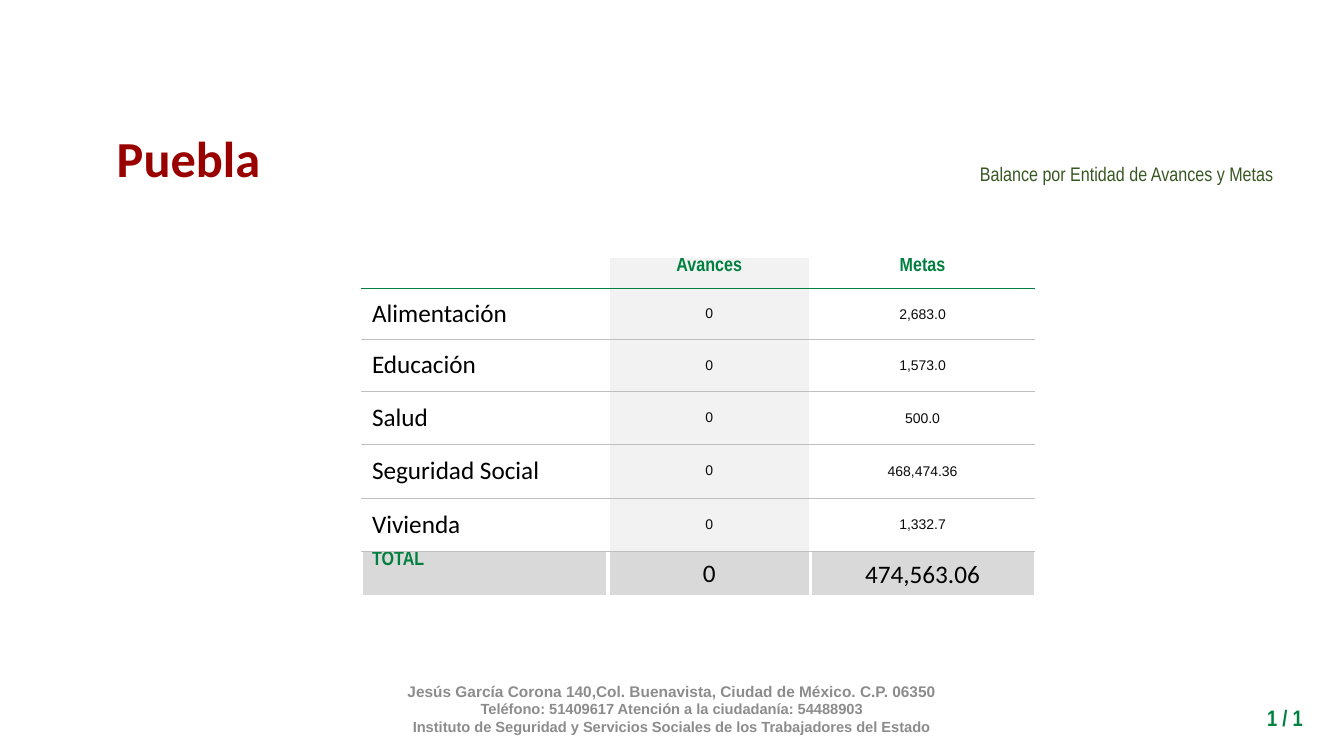
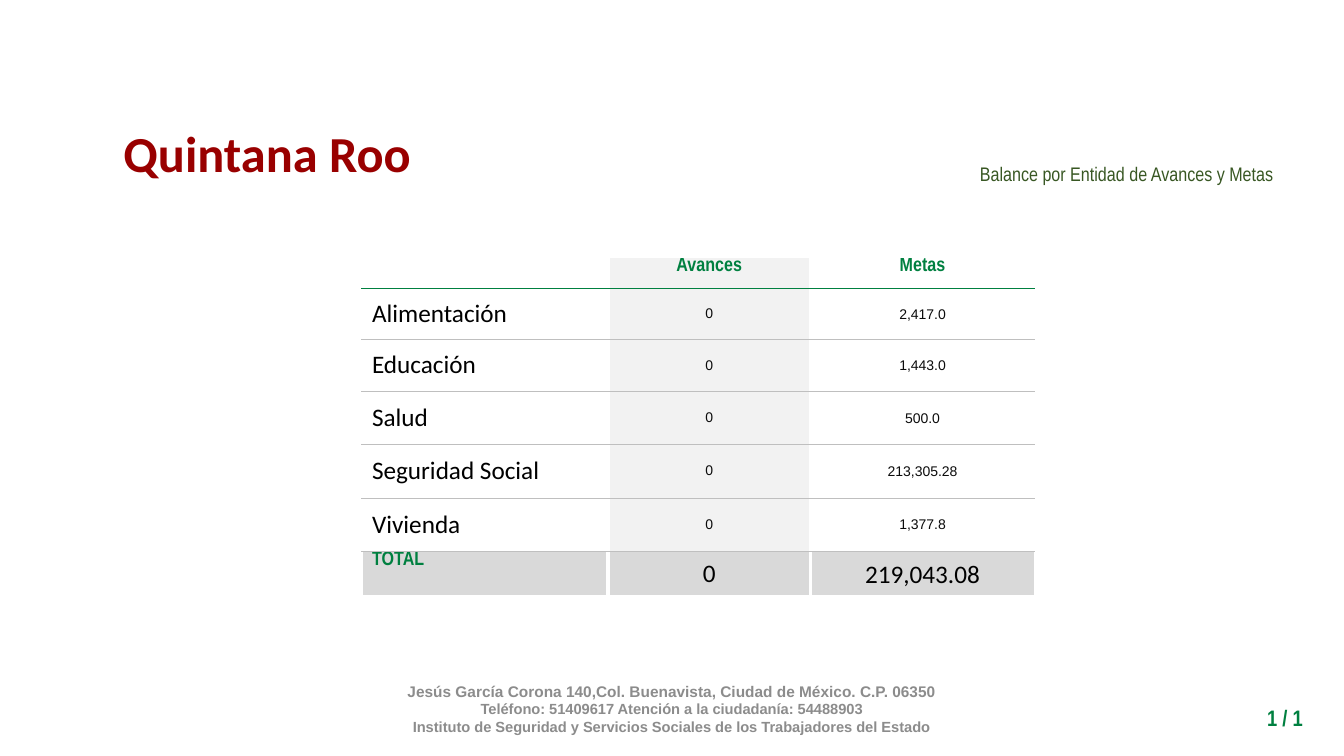
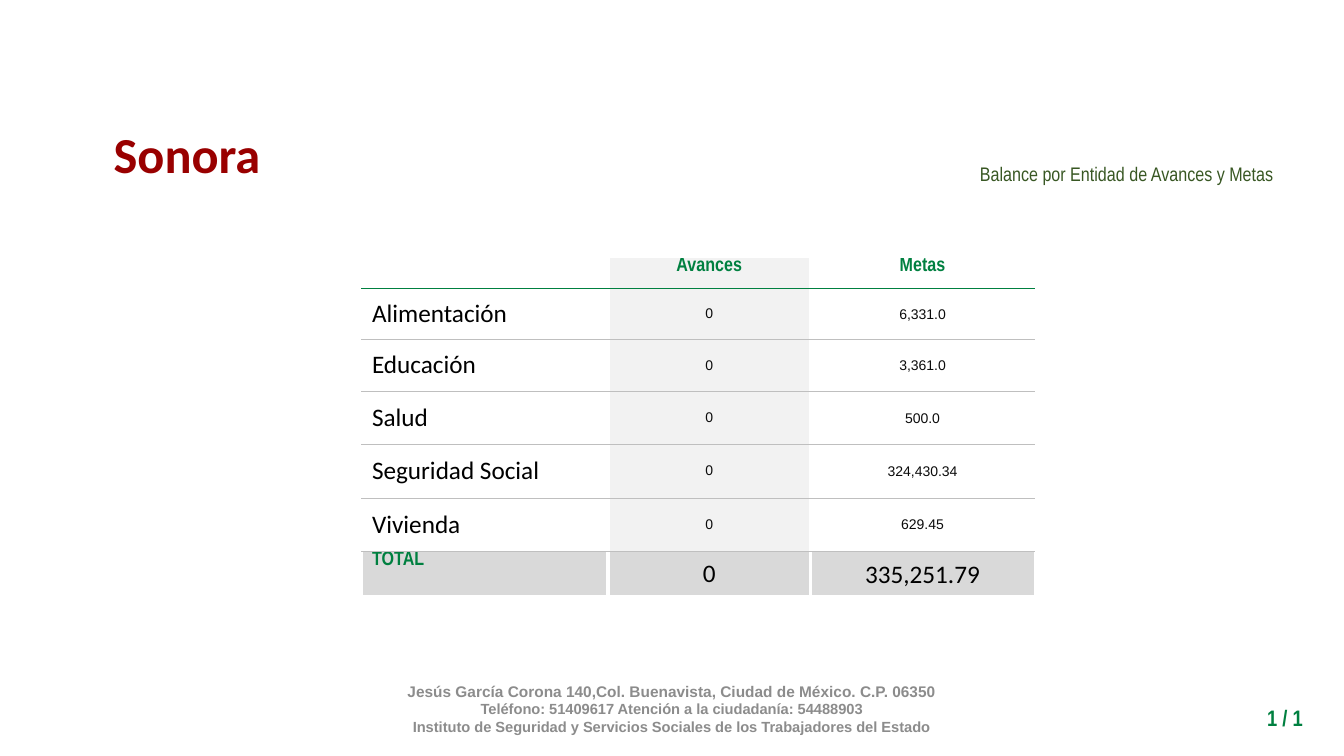
"""Builds three state slides that compare progress with goals."""
import pptx
import pptx.dml.color
import pptx.enum.text
import pptx.oxml
import pptx.oxml.ns
import pptx.util

PX = 9144
COLORS = {
    "title": "990000", "green": "008040", "subtitle": "385723",
    "footer": "8C8C8C", "value": "0B0B0B", "label": "000000",
    "column": "F2F2F2", "total": "D9D9D9", "rule": "BFBFBF", "white": "FFFFFF",
}
ALIGN = pptx.enum.text.PP_ALIGN
ANCHOR = pptx.enum.text.MSO_ANCHOR
FIT = pptx.enum.text.MSO_AUTO_SIZE

FOOTER = [
    ("Jesús García Corona 140,Col. Buenavista, Ciudad de México. C.P. 06350", 11),
    ("Teléfono: 51409617 Atención a la ciudadanía: 54488903", 10.5),
    ("Instituto de Seguridad y Servicios Sociales de los Trabajadores del Estado", 10.5),
]
SUBTITLE = "Balance por Entidad de Avances y Metas"
PAGE = "1 / 1"
HEADINGS = ["", "Avances", "Metas"]
TOPICS = ["Alimentación", "Educación", "Salud", "Seguridad Social", "Vivienda", "TOTAL"]
STATES = [
    ("Puebla", (105, 121, 164, 71),
     ["2,683.0", "1,573.0", "500.0", "468,474.36", "1,332.7", "474,563.06"]),
    ("Quintana Roo", (111, 116, 308, 71),
     ["2,417.0", "1,443.0", "500.0", "213,305.28", "1,377.8", "219,043.08"]),
    ("Sonora", (102, 117, 167, 71),
     ["6,331.0", "3,361.0", "500.0", "324,430.34", "629.45", "335,251.79"]),
]
COLUMNS = [244, 201, 222]
ROWS = [31, 51, 51, 53, 53, 53, 45]
TABLE_AT = (359, 255)

HEADING = (14, "Arial Narrow", "green", True)
LABEL = (18, "Calibri", "label", False)
VALUE = (10, "Arial", "value", False)


def emu(lengths):
    return [length * PX for length in lengths]


def rgb(name):
    return pptx.dml.color.RGBColor.from_string(COLORS[name])


def write(paragraph, text, style, align):
    size, face, color, bold = style
    paragraph.alignment = align
    run = paragraph.add_run()
    run.text = text
    run.font.size = pptx.util.Pt(size)
    run.font.name = face
    run.font.bold = bold
    run.font.color.rgb = rgb(color)
    return run


def line_xml(tag, color, points):
    return pptx.oxml.parse_xml(
        f'<a:{tag} {pptx.oxml.ns.nsdecls("a")} w="{int(points * 12700)}">'
        f'<a:solidFill><a:srgbClr val="{COLORS[color]}"/></a:solidFill></a:{tag}>')


def add_text(slide, at, lines, align, anchor):
    frame = slide.shapes.add_textbox(*emu(at)).text_frame
    frame.word_wrap = True
    frame.vertical_anchor = anchor
    for index, (text, style) in enumerate(lines):
        paragraph = frame.add_paragraph() if index else frame.paragraphs[0]
        write(paragraph, text, style, align)
    return frame


def add_title(slide, state, at):
    title = slide.shapes.title
    title.left, title.top, title.width, title.height = emu(at)
    frame = title.text_frame
    frame.word_wrap = False
    frame.auto_size = FIT.SHAPE_TO_FIT_TEXT
    frame.vertical_anchor = ANCHOR.TOP
    run = write(frame.paragraphs[0], state, (36, "Calibri", "title", True), ALIGN.CENTER)
    run.font._element.insert(0, line_xml("ln", "white", 0.75))


def rule_below(row):
    if row == 0:
        return "green", 0.25
    return ("white", 3) if row == len(ROWS) - 1 else ("rule", 0.5)


def add_borders(cell, row, column):
    properties = cell._tc.get_or_add_tcPr()
    borders = []
    if column > 0:
        borders.append(("lnL", "white", 3))
    if column < len(COLUMNS) - 1:
        borders.append(("lnR", "white", 3))
    if row > 0:
        borders.append(("lnT", *rule_below(row - 1)))
    borders.append(("lnB", *rule_below(row)))
    for border in borders:
        properties.append(line_xml(*border))


def format_cell(cell, text, row, column):
    is_total = row == len(ROWS) - 1
    is_heading = row == 0 or (is_total and column == 0)
    cell.vertical_anchor = ANCHOR.TOP if is_heading else ANCHOR.MIDDLE
    if is_heading:
        cell.margin_top = cell.margin_bottom = 0
    elif column == 2:
        cell.margin_left = cell.margin_right = cell.margin_top = PX
        cell.margin_bottom = 0
    if text:
        style = HEADING if is_heading else LABEL if is_total or column == 0 else VALUE
        write(cell.text_frame.paragraphs[0], text, style,
              ALIGN.CENTER if column else ALIGN.LEFT)
    add_borders(cell, row, column)
    if is_total or column == 1:
        cell.fill.solid()
        cell.fill.fore_color.rgb = rgb("total" if is_total else "column")
    else:
        cell.fill.background()


def add_balance(slide, goals):
    size = emu((sum(COLUMNS), sum(ROWS)))
    balance = slide.shapes.add_table(len(ROWS), len(COLUMNS), *emu(TABLE_AT), *size).table
    balance.first_row = balance.horz_banding = False
    for column, width in zip(balance.columns, COLUMNS):
        column.width = width * PX
    for row, height in zip(balance.rows, ROWS):
        row.height = height * PX
    content = [HEADINGS] + [[topic, "0", goal] for topic, goal in zip(TOPICS, goals)]
    for row, texts in enumerate(content):
        for column, text in enumerate(texts):
            format_cell(balance.cell(row, column), text, row, column)


def add_frame(slide):
    add_text(slide, (288, 683, 757, 40),
             [(text, (size, "Arial", "footer", True)) for text, size in FOOTER],
             ALIGN.CENTER, ANCHOR.MIDDLE)
    subtitle = add_text(slide, (669, 123, 604, 95),
                        [(SUBTITLE, (14, "Arial Narrow", "subtitle", False))],
                        ALIGN.RIGHT, ANCHOR.MIDDLE)
    subtitle.paragraphs[0].line_spacing = 1.15
    page = add_text(slide, (1176, 694, 126, 37),
                    [(PAGE, (16, "Arial Narrow", "green", True))],
                    ALIGN.RIGHT, ANCHOR.TOP)
    page.auto_size = FIT.SHAPE_TO_FIT_TEXT


def main():
    deck = pptx.Presentation()
    deck.slide_width, deck.slide_height = emu((1333, 750))
    for state, title_at, goals in STATES:
        slide = deck.slides.add_slide(deck.slide_layouts[5])
        add_title(slide, state, title_at)
        add_balance(slide, goals)
        add_frame(slide)
    deck.save("out.pptx")


if __name__ == "__main__":
    main()
